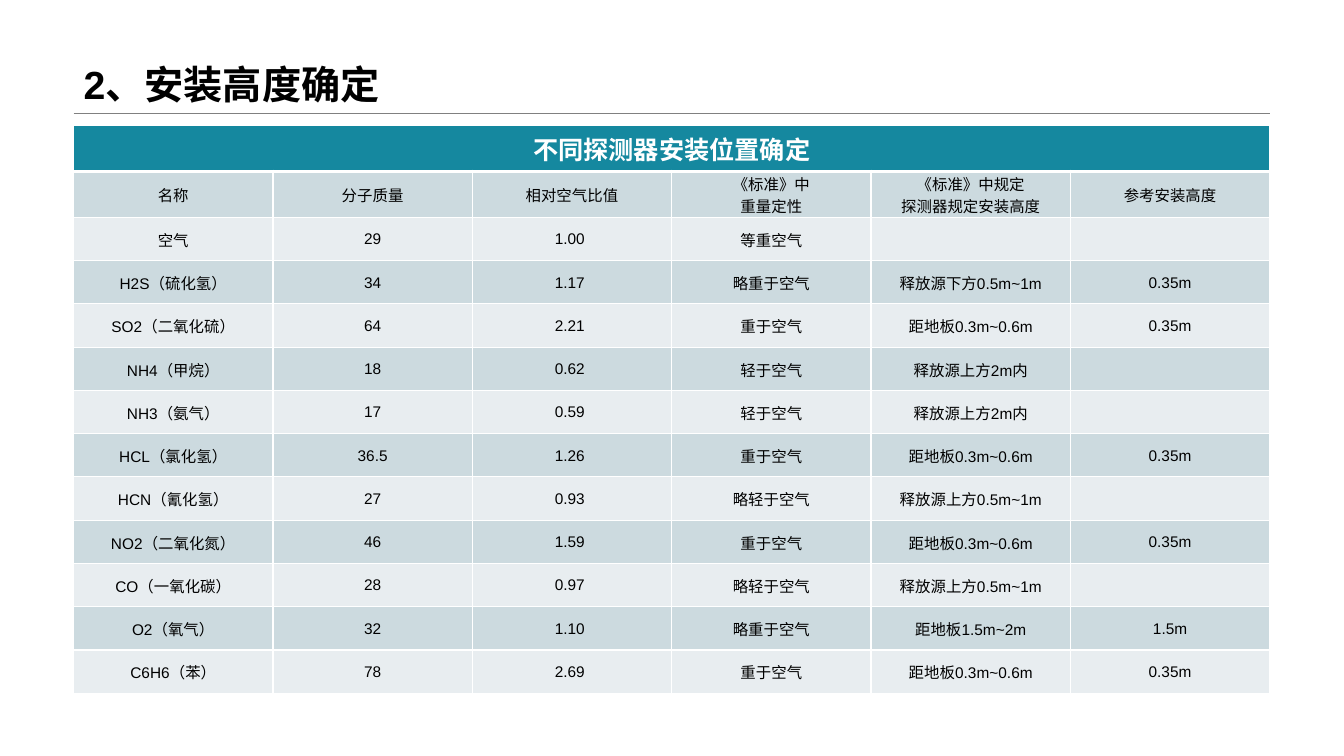
import dataclasses
import typing

import lxml.etree
import pptx
import pptx.dml.color
import pptx.enum.shapes
import pptx.enum.text
import pptx.oxml.ns
import pptx.presentation
import pptx.slide
import pptx.table
import pptx.text.text
import pptx.util

Pt = pptx.util.Pt
qn = pptx.oxml.ns.qn

COLORS = {
    "text": "000000",
    "white": "FFFFFF",
    "rule": "808080",
    "heading": "15889F",
    "odd_row": "CCDADF",
    "even_row": "E8EDF0",
}
FONT = "Arial"
LEFT, WIDTH = 52.56, 854.64
RULE_Y = 80.64
TABLE_TOP, ROW_HEIGHT = 89.28, 30.9

HEADING = "不同探测器安装位置确定"
COLUMN_NAMES = (
    "名称", "分子质量", "相对空气比值", "《标准》中\v重量定性",
    "《标准》中规定\v探测器规定安装高度", "参考安装高度",
)


@dataclasses.dataclass(frozen=True)
class Gas:
    name: str
    mass: str
    ratio: float
    weight: str
    position: str = ""
    height: str = ""

    def cells(self) -> tuple[str, ...]:
        return (self.name, self.mass, f"{self.ratio:.2f} ", self.weight,
                self.position, self.height)


GASES = (
    Gas("空气", "29", 1.00, "等重空气"),
    Gas("H2S（硫化氢）", "34", 1.17, "略重于空气", "释放源下方0.5m~1m", "0.35m"),
    Gas("SO2（二氧化硫）", "64", 2.21, "重于空气", "距地板0.3m~0.6m", "0.35m"),
    Gas("NH4（甲烷）", "18", 0.62, "轻于空气", "释放源上方2m内"),
    Gas("NH3（氨气）", "17", 0.59, "轻于空气", "释放源上方2m内"),
    Gas("HCL（氯化氢）", "36.5", 1.26, "重于空气", "距地板0.3m~0.6m", "0.35m"),
    Gas("HCN（氰化氢）", "27", 0.93, "略轻于空气", "释放源上方0.5m~1m"),
    Gas("NO2（二氧化氮）", "46", 1.59, "重于空气", "距地板0.3m~0.6m", "0.35m"),
    Gas("CO（一氧化碳）", "28", 0.97, "略轻于空气", "释放源上方0.5m~1m"),
    Gas("O2（氧气）", "32", 1.10, "略重于空气", "距地板1.5m~2m", "1.5m"),
    Gas("C6H6（苯）", "78", 2.69, "重于空气", "距地板0.3m~0.6m", "0.35m"),
)


def rgb(name: str) -> pptx.dml.color.RGBColor:
    return pptx.dml.color.RGBColor.from_string(COLORS[name])


def format_paragraph(paragraph: pptx.text.text._Paragraph, size: float, color: str,
                     bold: bool, align: pptx.enum.text.PP_ALIGN) -> None:
    paragraph.alignment = align
    font = paragraph.font
    font.name, font.size, font.bold = FONT, Pt(size), bold
    font.color.rgb = rgb(color)


def set_borders(cell: pptx.table._Cell, widths: typing.Mapping[str, float]) -> None:
    properties = cell._tc.get_or_add_tcPr()
    for index, (side, width) in enumerate(widths.items()):
        border = lxml.etree.Element(qn(f"a:ln{side}"), w=str(int(Pt(width))))
        fill = lxml.etree.SubElement(border, qn("a:solidFill"))
        lxml.etree.SubElement(fill, qn("a:srgbClr"), val=COLORS["white"])
        properties.insert(index, border)


def fill_cell(cell: pptx.table._Cell, text: str, fill: str) -> None:
    cell.text = text
    cell.fill.solid()
    cell.fill.fore_color.rgb = rgb(fill)


def add_title(slide: pptx.slide.Slide) -> None:
    title = slide.shapes.title
    title.left, title.top, title.width, title.height = map(Pt, (LEFT, 0, WIDTH, RULE_Y))
    title.text_frame.text = "2、安装高度确定"
    title.text_frame.vertical_anchor = pptx.enum.text.MSO_ANCHOR.BOTTOM
    paragraph = title.text_frame.paragraphs[0]
    paragraph.line_spacing = 0.9
    format_paragraph(paragraph, 28, "text", True, pptx.enum.text.PP_ALIGN.LEFT)


def add_rule(slide: pptx.slide.Slide) -> None:
    rule = slide.shapes.add_connector(
        pptx.enum.shapes.MSO_CONNECTOR.STRAIGHT,
        Pt(LEFT), Pt(RULE_Y), Pt(LEFT + WIDTH), Pt(RULE_Y))
    rule.line.color.rgb = rgb("rule")
    rule.line.width = Pt(0.25)
    lxml.etree.SubElement(rule._element.spPr, qn("a:effectLst"))


def add_gas_table(slide: pptx.slide.Slide) -> None:
    rows = [COLUMN_NAMES, *(gas.cells() for gas in GASES)]
    row_count, column_count = len(rows) + 1, len(COLUMN_NAMES)
    table = slide.shapes.add_table(
        row_count, column_count, Pt(LEFT), Pt(TABLE_TOP),
        Pt(WIDTH), Pt(ROW_HEIGHT * row_count)).table
    center = pptx.enum.text.PP_ALIGN.CENTER

    heading = table.cell(0, 0)
    heading.merge(table.cell(0, column_count - 1))
    for column in range(column_count):
        cell = table.cell(0, column)
        fill_cell(cell, "" if column else HEADING, "heading")
        set_borders(cell, {"L": 1, "R": 1, "T": 1, "B": 3})
    format_paragraph(heading.text_frame.paragraphs[0], 18, "white", True, center)

    for row, texts in enumerate(rows, start=1):
        for column, text in enumerate(texts):
            cell = table.cell(row, column)
            fill_cell(cell, text, "odd_row" if row % 2 else "even_row")
            set_borders(cell, {"L": 1, "R": 1, "B": 1})
            cell.vertical_anchor = pptx.enum.text.MSO_ANCHOR.MIDDLE
            cell.margin_left = cell.margin_right = cell.margin_top = Pt(0.75)
            cell.margin_bottom = Pt(0)
            format_paragraph(cell.text_frame.paragraphs[0], 11, "text", False, center)


def main() -> None:
    deck = pptx.Presentation()
    deck.slide_width, deck.slide_height = Pt(960), Pt(540)
    slide = deck.slides.add_slide(deck.slide_layouts.get_by_name("Title Only"))
    add_rule(slide)
    add_title(slide)
    add_gas_table(slide)
    deck.save("out.pptx")


if __name__ == "__main__":
    main()
